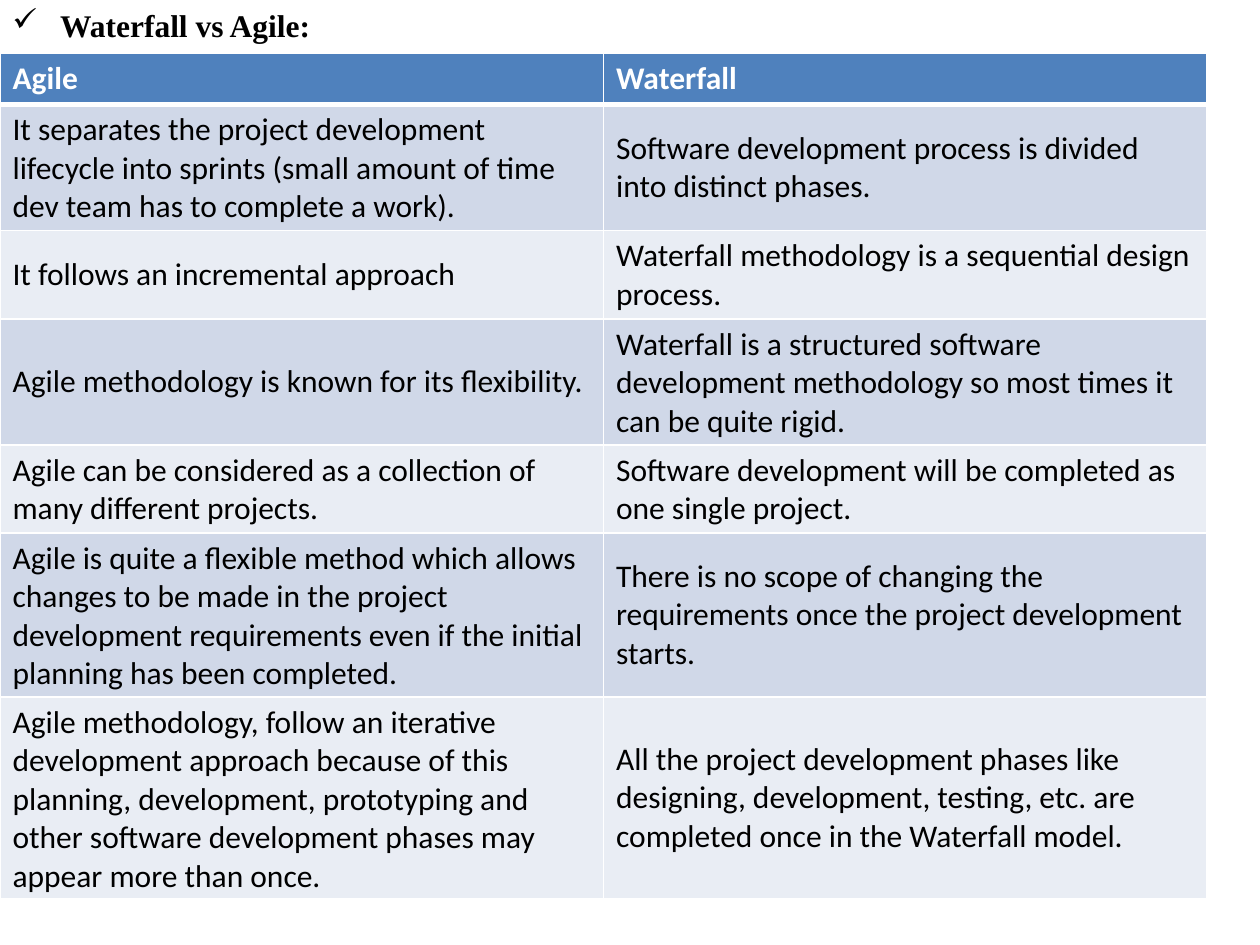
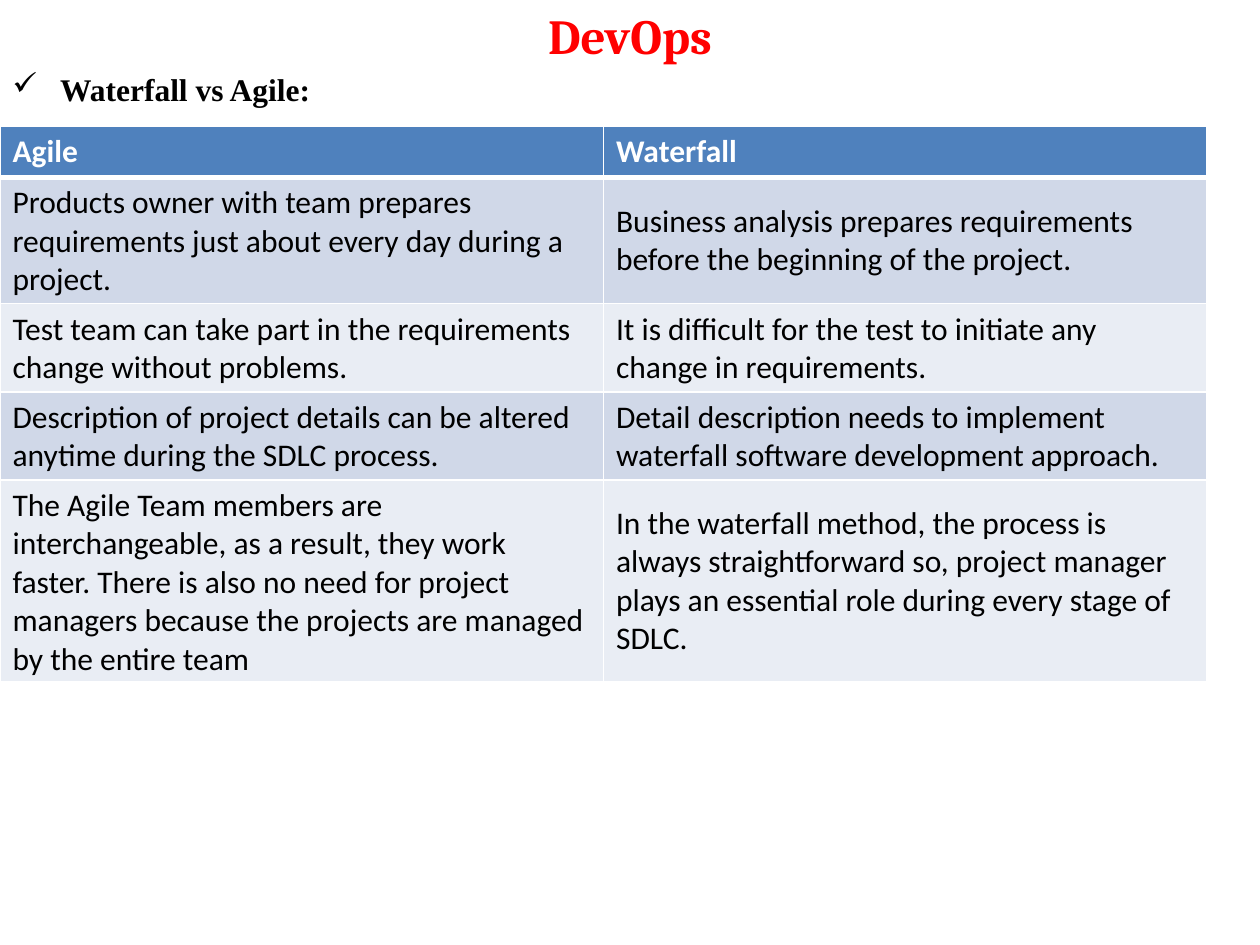
from dataclasses import dataclass

from lxml import etree
from pptx import Presentation
from pptx.dml.color import RGBColor
from pptx.enum import text as t
from pptx.oxml.ns import qn
from pptx.util import Inches, Pt

WHITE, BLACK, RED = "FFFFFF", "000000", "FF0000"
HEADER_FILL = "4F81BD"
BAND_FILLS = ("D0D8E8", "E9EDF4")
COLUMN_HEADS = ("Agile", "Waterfall")
COLUMN_WIDTH, ROW_HEIGHT = 4.79, 0.41
BODY_BOTTOM = 7.26
TITLE_ONLY, BLANK = 5, 6


@dataclass
class Comparison:
    heading_top: float
    table_top: float
    rows: list[tuple[str, str]]
    title: str = ""


COMPARISONS = [
    Comparison(0, 0.42, [
        ("It separates the project development lifecycle into sprints (small amount of time dev team has to complete a work).",
         "Software development process is divided into distinct phases."),
        ("It follows an incremental approach",
         "Waterfall methodology is a sequential design process."),
        ("Agile methodology is known for its flexibility.",
         "Waterfall is a structured software development methodology so most times it can be quite rigid."),
        ("Agile can be considered as a collection of many different projects.",
         "Software development will be completed as one single project."),
        ("Agile is quite a flexible method which allows changes to be made in the project development requirements even if the initial planning has been completed.",
         "There is no scope of changing the requirements once the project development starts."),
        ("Agile methodology, follow an iterative development approach because of this planning, development, prototyping and other software development phases may appear more than once.",
         "All the project development phases like designing, development, testing, etc. are completed once in the Waterfall model."),
    ]),
    Comparison(0.51, 1, [
        ("Products owner with team prepares requirements just about every day during a project.",
         "Business analysis prepares requirements before the beginning of the project."),
        ("Test team can take part in the requirements change without problems.",
         "It is difficult for the test to initiate any change in requirements."),
        ("Description of project details can be altered anytime during the SDLC process.",
         "Detail description needs to implement waterfall software development approach."),
        ("The Agile Team members are interchangeable, as a result, they work faster. There is also no need for project managers because the projects are managed by the entire team",
         "In the waterfall method, the process is always straightforward so, project manager plays an essential role during every stage of SDLC."),
    ], title="DevOps"),
]


def rgb(hex_color: str) -> RGBColor:
    return RGBColor.from_string(hex_color)


def write(frame, words: str, *, font: str = "Calibri", size: float = 18,
          color: str = BLACK, bold: bool = False, align=t.PP_ALIGN.LEFT,
          anchor=t.MSO_ANCHOR.TOP):
    frame.word_wrap = True
    frame.vertical_anchor = anchor
    paragraph = frame.paragraphs[0]
    paragraph.alignment = align
    run = paragraph.add_run()
    run.text = words
    run.font.name, run.font.size, run.font.bold = font, Pt(size), bold
    run.font.color.rgb = rgb(color)
    return paragraph


def add_title(slide, words: str) -> None:
    title = slide.shapes.title
    title.left, title.top = Inches(0.5), Inches(0.05)
    title.width, title.height = Inches(9), Inches(0.45)
    write(title.text_frame, words, font="Cambria", size=28, color=RED, bold=True,
          align=t.PP_ALIGN.CENTER, anchor=t.MSO_ANCHOR.MIDDLE)


def add_heading(slide, top: float) -> None:
    heading = slide.shapes.add_textbox(0, Inches(top), Inches(10), Inches(BODY_BOTTOM - top))
    paragraph = write(heading.text_frame, "Waterfall vs Agile:",
                      font="Times New Roman", bold=True)
    properties = paragraph._p.get_or_add_pPr()
    properties.set("marL", str(Inches(0.38)))
    properties.set("indent", str(-Inches(0.38)))
    space_before = etree.SubElement(properties, qn("a:spcBef"))
    etree.SubElement(space_before, qn("a:spcPct"), val="20000")
    etree.SubElement(properties, qn("a:buChar"), char="✓")


def set_borders(cell, top: float, bottom: float) -> None:
    properties = cell._tc.get_or_add_tcPr()
    widths = {"a:lnL": 1, "a:lnR": 1, "a:lnT": top, "a:lnB": bottom}
    for position, (side, width) in enumerate(widths.items()):
        line = etree.Element(qn(side), w=str(Pt(width)))
        fill = etree.SubElement(line, qn("a:solidFill"))
        etree.SubElement(fill, qn("a:srgbClr"), val=WHITE)
        properties.insert(position, line)


def fill_cell(cell, words: str, row: int) -> None:
    is_header = row == 0
    write(cell.text_frame, words, color=WHITE if is_header else BLACK, bold=is_header)
    cell.vertical_anchor = t.MSO_ANCHOR.TOP if is_header else t.MSO_ANCHOR.MIDDLE
    cell.fill.solid()
    cell.fill.fore_color.rgb = rgb(HEADER_FILL if is_header else BAND_FILLS[(row - 1) % 2])
    set_borders(cell, top=3 if row == 1 else 1, bottom=3 if is_header else 1)


def add_comparison_table(slide, comparison: Comparison) -> None:
    rows = [COLUMN_HEADS, *comparison.rows]
    table = slide.shapes.add_table(
        len(rows), len(COLUMN_HEADS), 0, Inches(comparison.table_top),
        Inches(COLUMN_WIDTH * len(COLUMN_HEADS)), Inches(ROW_HEIGHT * len(rows))).table
    for row, entries in enumerate(rows):
        for column, words in enumerate(entries):
            fill_cell(table.cell(row, column), words, row)


def main() -> None:
    deck = Presentation()
    deck.slide_width, deck.slide_height = Inches(10), Inches(7.5)
    for comparison in COMPARISONS:
        layout = TITLE_ONLY if comparison.title else BLANK
        slide = deck.slides.add_slide(deck.slide_layouts[layout])
        if comparison.title:
            add_title(slide, comparison.title)
        add_heading(slide, comparison.heading_top)
        add_comparison_table(slide, comparison)
    deck.save("out.pptx")


if __name__ == "__main__":
    main()
